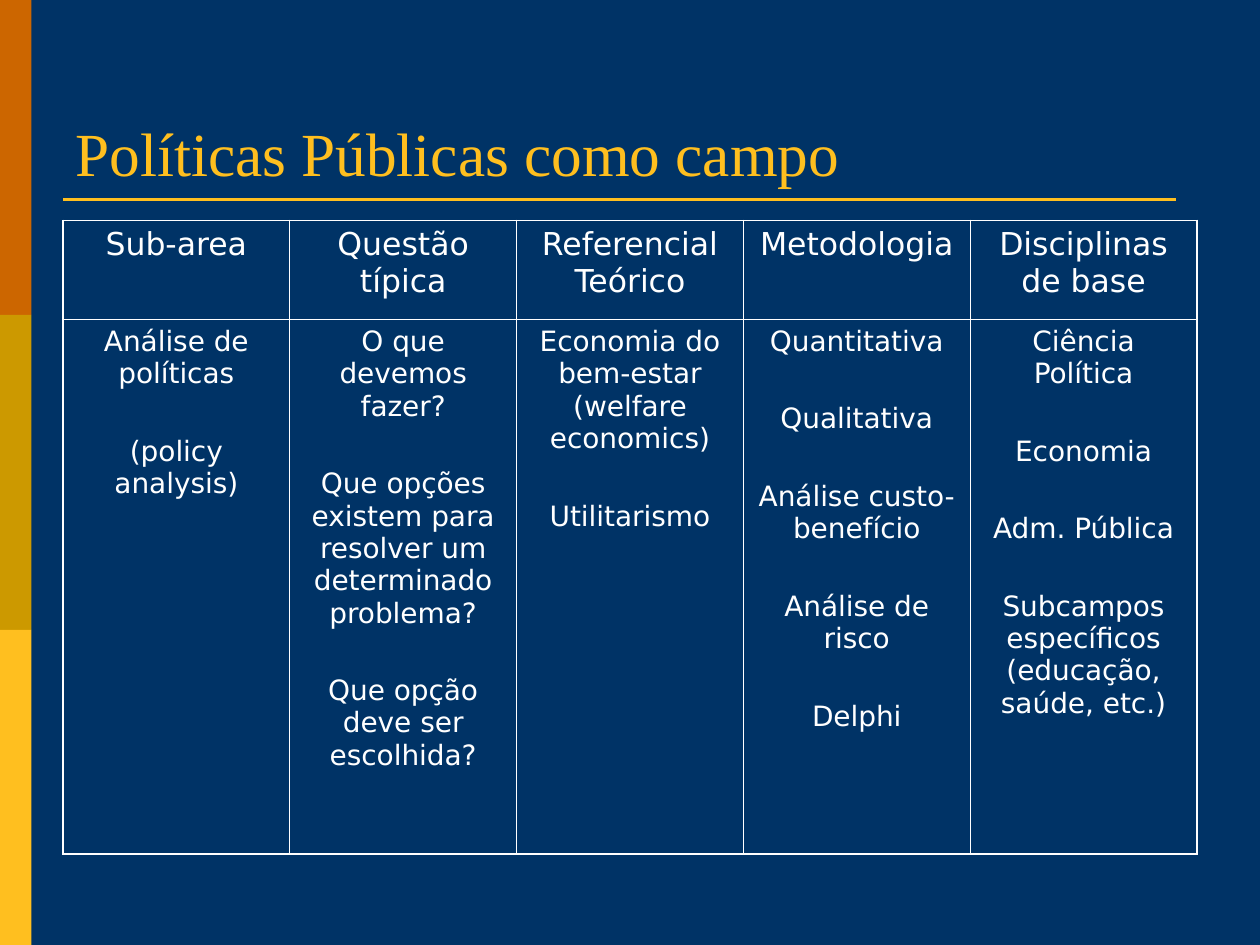
import pptx
import pptx.dml.color
import pptx.enum.shapes
import pptx.enum.text
import pptx.oxml
import pptx.oxml.ns
import pptx.util

Pt = pptx.util.Pt
TINTS = {
    "navy": "003366",
    "rust": "CC6600",
    "ochre": "CC9900",
    "gold": "FFBF1F",
    "white": "FFFFFF",
}
THIN, THICK = 0.45, 1.08

HEADS = ["Sub-area", "Questão típica", "Referencial Teórico",
         "Metodologia", "Disciplinas de base"]
ITEMS = [
    ["Análise de políticas", "(policy analysis)"],
    ["O que devemos fazer?",
     "Que opções existem para resolver um determinado problema?",
     "Que opção deve ser escolhida?"],
    ["Economia do bem-estar (welfare economics)", "Utilitarismo"],
    ["Quantitativa", "Qualitativa", "Análise custo-benefício",
     "Análise de risco", "Delphi"],
    ["Ciência Política", "Economia", "Adm. Pública",
     "Subcampos específicos (educação, saúde, etc.)"],
]


def tint(name):
    return pptx.dml.color.RGBColor.from_string(TINTS[name])


class Deck:
    def __init__(self, width, height, back):
        self.file = pptx.Presentation()
        self.file.slide_width, self.file.slide_height = Pt(width), Pt(height)
        self.slide = self.file.slides.add_slide(self.file.slide_layouts[6])
        self.paint(self.slide.background.fill, back)
        self.shapes = self.slide.shapes

    def paint(self, fill, name):
        fill.solid()
        fill.fore_color.rgb = tint(name)

    def style(self, frame, font, size, name, align, gap=0):
        """Format every run; gap is the space between paragraphs."""
        for i, para in enumerate(frame.paragraphs):
            para.alignment = align
            para.space_before = Pt(gap if i else 0)
            for run in para.runs:
                run.font.name = font
                run.font.size = Pt(size)
                run.font.color.rgb = tint(name)

    def bar(self, left, top, width, height, name):
        kind = pptx.enum.shapes.MSO_SHAPE.RECTANGLE
        bar = self.shapes.add_shape(kind, Pt(left), Pt(top), Pt(width), Pt(height))
        bar.shadow.inherit = False
        self.paint(bar.fill, name)
        bar.line.fill.background()

    def rule(self, left, top, right, name, width):
        kind = pptx.enum.shapes.MSO_CONNECTOR.STRAIGHT
        rule = self.shapes.add_connector(kind, Pt(left), Pt(top), Pt(right), Pt(top))
        rule.line.color.rgb = tint(name)
        rule.line.width = Pt(width)
        spot = rule._element.spPr
        spot.append(pptx.oxml.parse_xml(
            f'<a:effectLst {pptx.oxml.ns.nsdecls("a")}/>'))

    def title(self, text, left, top, width, height):
        frame = self.shapes.add_textbox(
            Pt(left), Pt(top), Pt(width), Pt(height)).text_frame
        frame.word_wrap = True
        frame.vertical_anchor = pptx.enum.text.MSO_ANCHOR.BOTTOM
        frame.text = text
        self.style(frame, "Times New Roman", 35, "gold",
                   pptx.enum.text.PP_ALIGN.LEFT)

    def edge(self, cell, sides):
        """Draw the cell borders; sides maps L, R, T and B to widths."""
        props = cell._tc.get_or_add_tcPr()
        for i, (side, width) in enumerate(sides.items()):
            props.insert(i, pptx.oxml.parse_xml(
                f'<a:ln{side} {pptx.oxml.ns.nsdecls("a")} w="{Pt(width)}">'
                f'<a:solidFill><a:srgbClr val="{TINTS["white"]}"/></a:solidFill>'
                f'</a:ln{side}>'))

    def table(self, rows, left, top, width, heights, sizes, gap):
        high, wide = len(rows), len(rows[0])
        table = self.shapes.add_table(
            high, wide, Pt(left), Pt(top), Pt(width), Pt(sum(heights))).table
        table.first_row = table.horz_banding = False
        for col in table.columns:
            col.width = Pt(width / wide)
        for r, row in enumerate(rows):
            table.rows[r].height = Pt(heights[r])
            for c, lines in enumerate(row):
                cell = table.cell(r, c)
                cell.fill.background()
                cell.text_frame.text = "\n".join(lines)
                self.style(cell.text_frame, "DejaVu Sans", sizes[r], "white",
                           pptx.enum.text.PP_ALIGN.CENTER, gap)
                outer = {"L": c == 0, "R": c == wide - 1,
                         "T": r == 0, "B": r == high - 1}
                self.edge(cell, {side: THICK if out else THIN
                                 for side, out in outer.items()})


def main():
    deck = Deck(720, 540, "navy")
    for i, name in enumerate(["rust", "ochre", "gold"]):
        deck.bar(0, 180 * i, 18, 180, name)
    deck.rule(36, 114, 672, "gold", 1.5)
    deck.title("Políticas Públicas como campo", 36, 21.6, 648, 90)
    deck.table([[[head] for head in HEADS], ITEMS],
               36, 126, 648, [56.5, 305.5], [18, 16], 25.8)
    deck.file.save("out.pptx")


if __name__ == "__main__":
    main()
